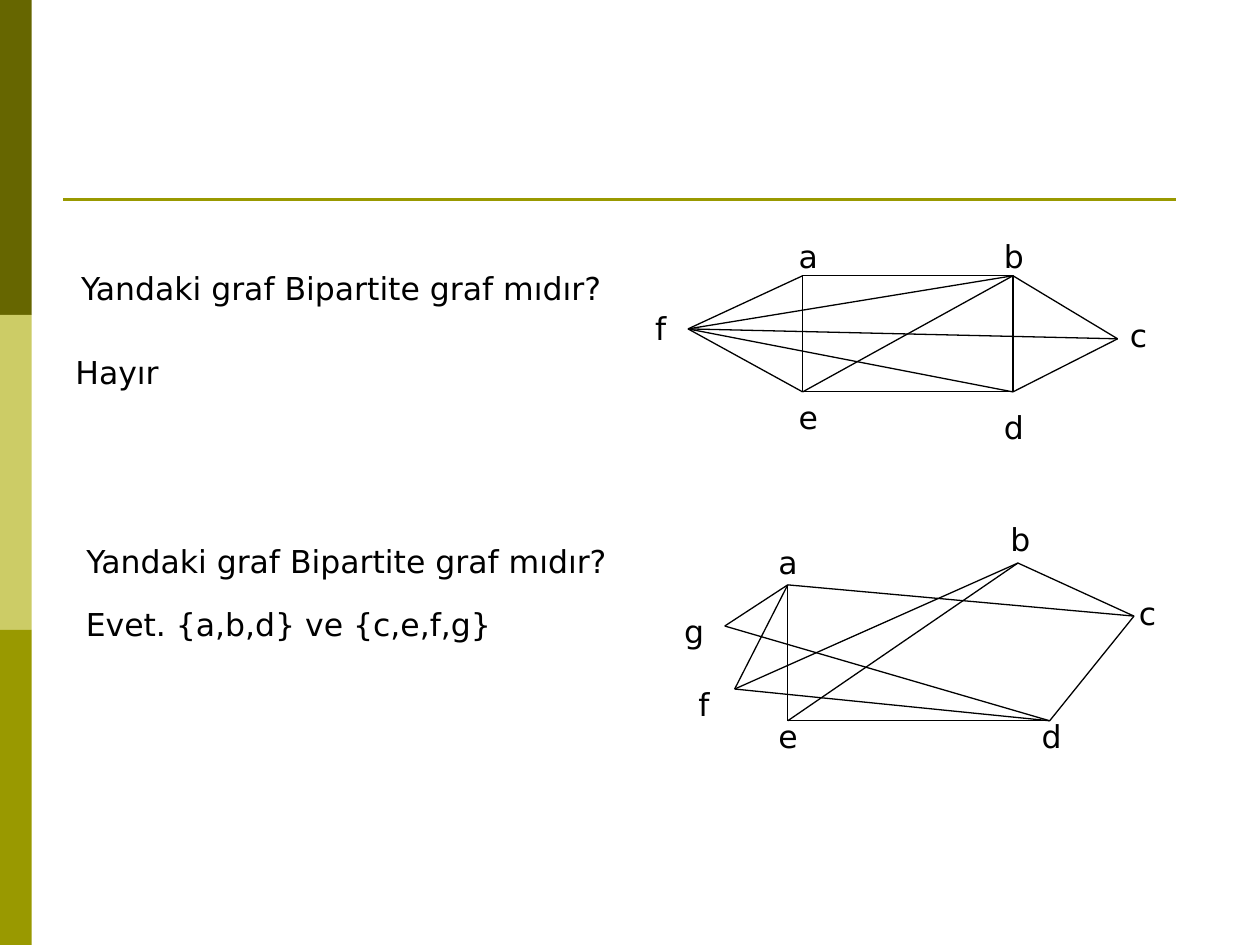
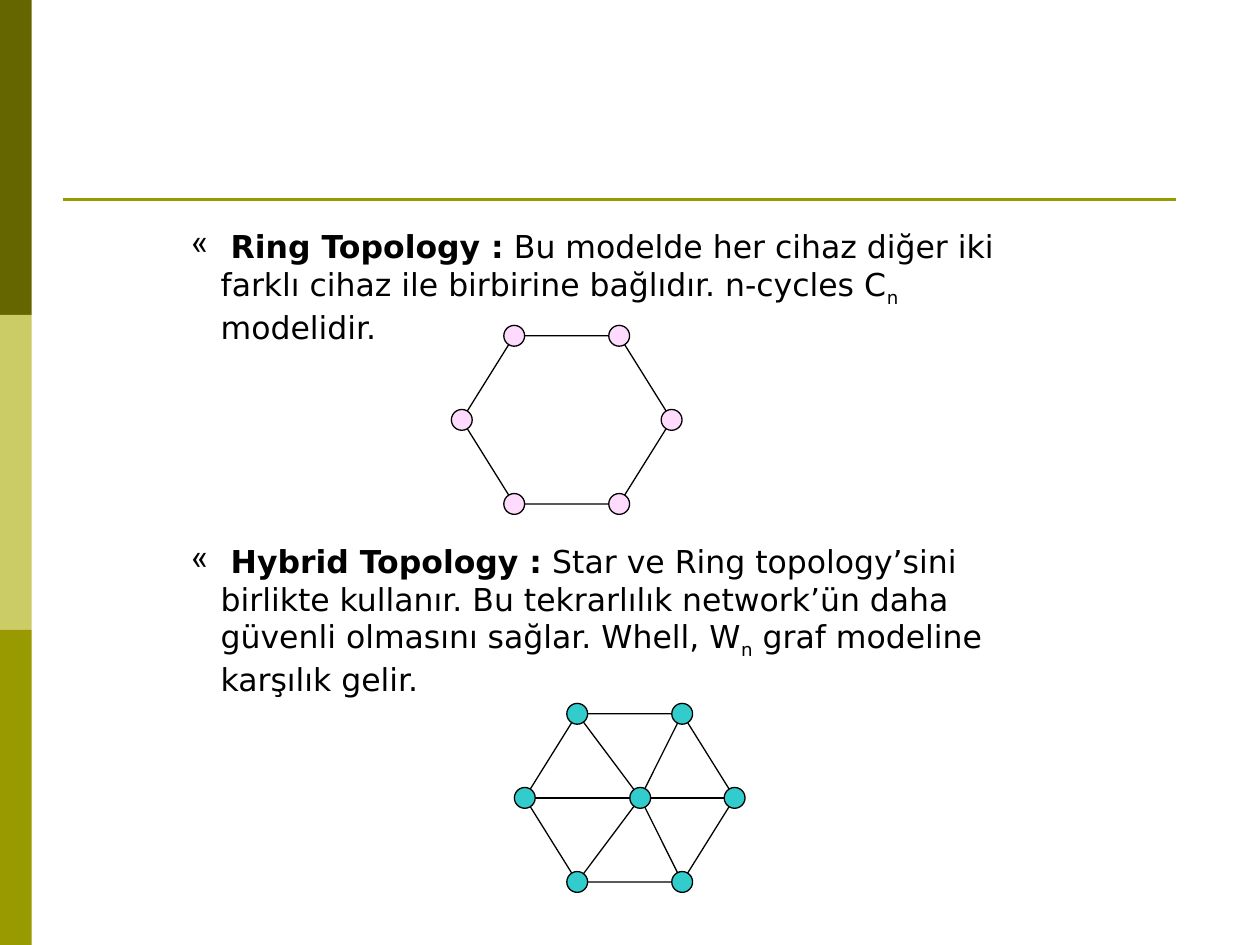
from lxml.etree import SubElement
from pptx import Presentation
from pptx.dml.color import RGBColor
from pptx.enum.shapes import MSO_CONNECTOR, MSO_SHAPE
from pptx.enum.text import MSO_AUTO_SIZE, PP_ALIGN
from pptx.oxml.ns import qn
from pptx.util import Cm, Pt

BLACK = "000000"
OLIVE = "999900"
BANDS = ["666600", "CCCC66", OLIVE]
BAND_W, BAND_H = 0.64, 6.35
RULE = ((1.27, 4.02), (23.71, 4.02))
FONT = {"name": "DejaVu Sans", "size": Pt(18)}
TEXT_H = 1.02
LABEL_W = 0.84
INDENT = 0.6
NODE = 0.42
HEX_W, HEX_H = 4.23, 3.39
HEX_POINTS = [(0.25, 0), (0.75, 0), (1, 0.5), (0.75, 1), (0.25, 1), (0, 0.5)]
HUB = (0.55, 0.5)

QUESTION = "Yandaki graf Bipartite graf mıdır?"
QUESTIONS = [
    ((1.27, 5.29), QUESTION, (1.27, 6.99), "Hayır"),
    ((1.38, 10.8), QUESTION, (1.48, 12.07), "Evet. {a,b,d} ve {c,e,f,g}"),
]
QUESTION_W, ANSWER_W = 11.22, 9.53

GRAPHS = [
    {
        "vertices": {"a": (16.18, 5.56), "b": (20.42, 5.56), "c": (22.53, 6.83),
                     "d": (20.42, 7.9), "e": (16.18, 7.9), "f": (13.87, 6.63)},
        "labels": {"a": (15.85, 4.65), "b": (19.99, 4.65), "c": (22.53, 6.25),
                   "d": (19.99, 8.1), "e": (15.85, 7.9), "f": (12.9, 6.1)},
        "frame": "ad",
        "edges": "af fe bc dc fb fd fc be",
    },
    {
        "vertices": {"a": (15.88, 11.79), "b": (20.52, 11.35), "c": (22.86, 12.42),
                     "d": (21.16, 14.53), "e": (15.88, 14.53), "f": (14.81, 13.89),
                     "g": (14.61, 12.62)},
        "labels": {"a": (15.44, 10.82), "b": (20.12, 10.36), "c": (22.71, 11.86),
                   "d": (20.75, 14.33), "e": (15.44, 14.33), "f": (13.77, 13.69),
                   "g": (13.54, 12.22)},
        "frame": None,
        "edges": "ae ac af ag ed gd fd fb bc be cd",
    },
]

TOPOLOGIES = [
    {
        "top": 4.45, "height": 2.64,
        "runs": [(" ", None), ("Ring Topology :", "bold"),
                 (" Bu modelde her cihaz diğer iki farklı cihaz ile birbirine "
                  "bağlıdır. n-cycles C", None),
                 ("n", "sub"), (" modelidir.", None)],
        "hexagon": (9.31, 6.77), "color": "FEDAFD", "hub": False,
    },
    {
        "top": 10.8, "height": 3.4,
        "runs": [(" ", None), ("Hybrid Topology :", "bold"),
                 (" Star ve Ring topology’sini birlikte kullanır. Bu tekrarlılık "
                  "network’ün daha güvenli olmasını sağlar. Whell, W", None),
                 ("n", "sub"), (" graf modeline karşılık gelir.", None)],
        "hexagon": (10.58, 14.39), "color": "33CCCC", "hub": True,
    },
]
TOPOLOGY_LEFT, TOPOLOGY_W = 3.6, 17.99


def rgb(value):
    return RGBColor.from_string(value)


def apply(obj, values):
    for name, value in values.items():
        setattr(obj, name, value)


def add_line(shapes, start, end, color=BLACK, width=0.75):
    points = [Cm(v) for v in (*start, *end)]
    line = shapes.add_connector(MSO_CONNECTOR.STRAIGHT, *points)
    line.line.color.rgb = rgb(color)
    line.line.width = Pt(width)
    SubElement(line._element.spPr, qn("a:effectLst"))


def add_figure(shapes, kind, x, y, w, h, fill=None, outline=True):
    sp = shapes.add_shape(kind, Cm(x), Cm(y), Cm(w), Cm(h))
    sp.shadow.inherit = False
    if fill:
        sp.fill.solid()
        sp.fill.fore_color.rgb = rgb(fill)
    else:
        sp.fill.background()
    if outline:
        sp.line.color.rgb = rgb(BLACK)
        sp.line.width = Pt(0.75)
    else:
        sp.line.fill.background()
    return sp


def add_text(shapes, at, w, h, runs, align=PP_ALIGN.LEFT, wrap=True, bullet=None):
    sp = shapes.add_textbox(Cm(at[0]), Cm(at[1]), Cm(w), Cm(h))
    tf = sp.text_frame
    apply(tf, {"word_wrap": wrap, "auto_size": MSO_AUTO_SIZE.SHAPE_TO_FIT_TEXT})
    p = tf.paragraphs[0]
    p.alignment = align
    if bullet:
        pPr = p._p.get_or_add_pPr()
        pPr.set("marL", str(Cm(INDENT)))
        pPr.set("indent", str(-Cm(INDENT)))
        color = SubElement(pPr, qn("a:buClr"))
        SubElement(color, qn("a:srgbClr"), val=BLACK)
        SubElement(pPr, qn("a:buChar"), char=bullet)
    for text, style in runs:
        r = p.add_run()
        r.text = text
        apply(r.font, {**FONT, "bold": style == "bold"})
        r.font.color.rgb = rgb(BLACK)
        if style == "sub":
            r._r.get_or_add_rPr().set("baseline", "-25000")


def add_base(prs):
    s = prs.slides.add_slide(prs.slide_layouts[6])
    for i, color in enumerate(BANDS):
        add_figure(s.shapes, MSO_SHAPE.RECTANGLE, 0, i * BAND_H, BAND_W, BAND_H, color, False)
    add_line(s.shapes, *RULE, OLIVE, 1.5)
    return s


def add_graph(s, graph):
    shapes = s.shapes.add_group_shape().shapes
    vertices = graph["vertices"]
    if graph["frame"]:
        (x1, y1), (x2, y2) = (vertices[v] for v in graph["frame"])
        add_figure(shapes, MSO_SHAPE.RECTANGLE, x1, y1, x2 - x1, y2 - y1)
    for start, end in graph["edges"].split():
        add_line(shapes, vertices[start], vertices[end])
    for name, at in graph["labels"].items():
        add_text(shapes, at, LABEL_W, TEXT_H, [(name, None)], PP_ALIGN.CENTER, False)


def add_network(s, topology):
    shapes = s.shapes.add_group_shape().shapes
    left, top = topology["hexagon"]

    def place(point):
        return left + point[0] * HEX_W, top + point[1] * HEX_H

    nodes = [place(point) for point in HEX_POINTS]
    if topology["hub"]:
        hub = place(HUB)
        for node in nodes:
            add_line(shapes, node, hub)
        nodes.append(hub)
    ring = add_figure(shapes, MSO_SHAPE.HEXAGON, left, top, HEX_W, HEX_H)
    ring.adjustments[0] = 0.25 * HEX_W / HEX_H
    for x, y in nodes:
        add_figure(shapes, MSO_SHAPE.OVAL, x - NODE / 2, y - NODE / 2, NODE, NODE,
                   topology["color"])


def main():
    prs = Presentation()
    apply(prs, {"slide_width": Cm(25.4), "slide_height": Cm(19.05)})

    s = add_base(prs)
    for graph, (question_at, question, answer_at, answer) in zip(GRAPHS, QUESTIONS):
        add_graph(s, graph)
        add_text(s.shapes, question_at, QUESTION_W, TEXT_H, [(question, None)], PP_ALIGN.CENTER)
        add_text(s.shapes, answer_at, ANSWER_W, TEXT_H, [(answer, None)])

    s = add_base(prs)
    for topology in TOPOLOGIES:
        add_text(s.shapes, (TOPOLOGY_LEFT, topology["top"]), TOPOLOGY_W,
                 topology["height"], topology["runs"], bullet="«")
        add_network(s, topology)

    prs.save("out.pptx")


if __name__ == "__main__":
    main()
